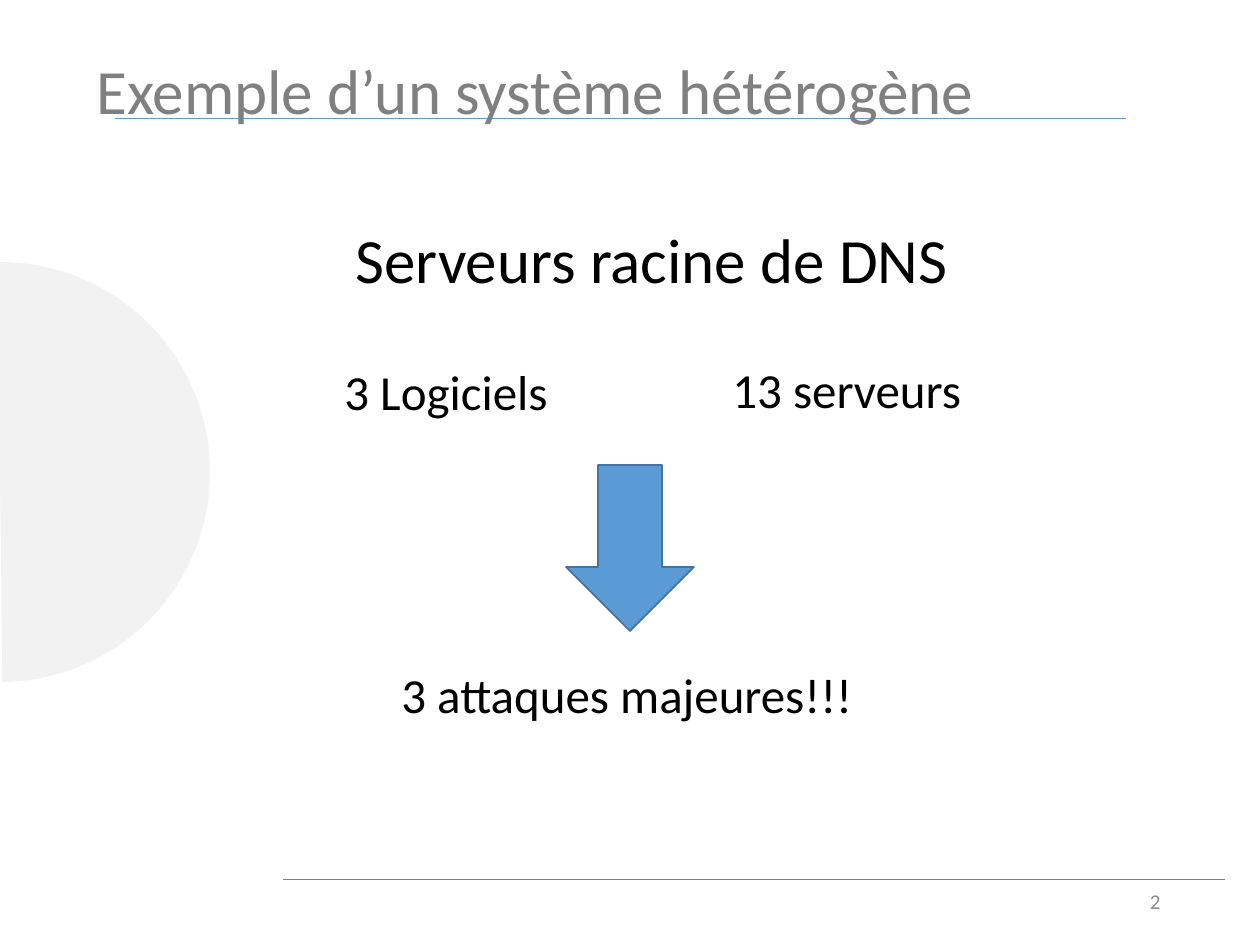
from dataclasses import dataclass

from lxml import etree
from pptx import Presentation
from pptx.dml.color import RGBColor
from pptx.enum.shapes import MSO_CONNECTOR, MSO_SHAPE
from pptx.enum.text import MSO_ANCHOR, MSO_AUTO_SIZE, PP_ALIGN
from pptx.oxml.ns import qn
from pptx.util import Emu, Pt

STRAIGHT = MSO_CONNECTOR.STRAIGHT
ARC, DOWN_ARROW = MSO_SHAPE.ARC, MSO_SHAPE.DOWN_ARROW
TOP, MIDDLE = MSO_ANCHOR.TOP, MSO_ANCHOR.MIDDLE
LEFT, RIGHT = PP_ALIGN.LEFT, PP_ALIGN.RIGHT
NO_FIT = MSO_AUTO_SIZE.NONE

PIXELS_PER_INCH = 126
FONT = "Calibri"
COLORS = {
    "disc": "F2F2F2",
    "blue": "5B9BD5",
    "outline": "43739E",
    "title": "808080",
    "footer_rule": "808080",
    "number": "8C8C8C",
    "text": "000000",
}


@dataclass(frozen=True)
class Box:
    left: int
    top: int
    width: int
    height: int

    def emu(self) -> tuple[Emu, ...]:
        return tuple(px(v) for v in (self.left, self.top, self.width, self.height))


@dataclass(frozen=True)
class Label:
    text: str
    box: Box
    size: int
    color: str = "text"
    align: PP_ALIGN = LEFT
    anchor: MSO_ANCHOR = TOP
    wrap: bool = False


@dataclass(frozen=True)
class Rule:
    start: int
    end: int
    y: int
    color: str


TITLE = Label("Exemple d’un système hétérogène", Box(84, 45, 1101, 89), 36, "title", wrap=True)
LABELS = [
    Label("2", Box(890, 876, 283, 50), 12, "number", RIGHT, MIDDLE, True),
    Label("Serveurs racine de DNS", Box(343, 214, 622, 89), 36),
    Label("3 Logiciels", Box(332, 355, 230, 72), 28),
    Label("13 serveurs", Box(720, 353, 257, 72), 28),
    Label("3 attaques majeures!!!", Box(389, 658, 483, 72), 28),
]
TITLE_RULE = Rule(115, 1126, 118, "blue")
FOOTER_RULE = Rule(283, 1225, 879, "footer_rule")
DISC = Box(-210, 262, 420, 420)
DISC_ANGLES = (162, 53.6)
ARROW = Box(566, 465, 128, 166)


def px(value: int) -> Emu:
    return Emu(round(value * 914400 / PIXELS_PER_INCH))


def rgb(name: str) -> RGBColor:
    return RGBColor.from_string(COLORS[name])


def write_label(shape, label: Label) -> None:
    shape.left, shape.top, shape.width, shape.height = label.box.emu()
    frame = shape.text_frame
    frame.text = label.text
    frame.word_wrap = label.wrap
    frame.auto_size = NO_FIT
    frame.vertical_anchor = label.anchor
    paragraph = frame.paragraphs[0]
    paragraph.alignment = label.align
    paragraph.font.name = FONT
    paragraph.font.size = Pt(label.size)
    paragraph.font.color.rgb = rgb(label.color)


def add_rule(slide, rule: Rule):
    y = px(rule.y)
    connector = slide.shapes.add_connector(STRAIGHT, px(rule.start), y, px(rule.end), y)
    connector.line.color.rgb = rgb(rule.color)
    connector.line.width = Pt(0.5)
    etree.SubElement(connector.element.spPr, qn("a:effectLst"))
    return connector


def add_filled_shape(slide, kind: MSO_SHAPE, box: Box, color: str):
    shape = slide.shapes.add_shape(kind, *box.emu())
    shape.shadow.inherit = False
    shape.fill.solid()
    shape.fill.fore_color.rgb = rgb(color)
    return shape


def main() -> None:
    presentation = Presentation()
    presentation.slide_width, presentation.slide_height = px(1260), px(945)
    slide = presentation.slides.add_slide(presentation.slide_layouts[5])

    disc = add_filled_shape(slide, ARC, DISC, "disc")
    disc.adjustments[0], disc.adjustments[1] = DISC_ANGLES
    disc.line.fill.background()

    title_rule = add_rule(slide, TITLE_RULE)
    title = slide.shapes.title
    write_label(title, TITLE)
    title_rule.element.addnext(title.element)  # the title sits in front of its rule

    add_rule(slide, FOOTER_RULE)
    for label in LABELS:
        write_label(slide.shapes.add_textbox(*label.box.emu()), label)

    arrow = add_filled_shape(slide, DOWN_ARROW, ARROW, "blue")
    arrow.line.color.rgb = rgb("outline")
    arrow.line.width = Pt(1)

    presentation.save("out.pptx")


if __name__ == "__main__":
    main()
